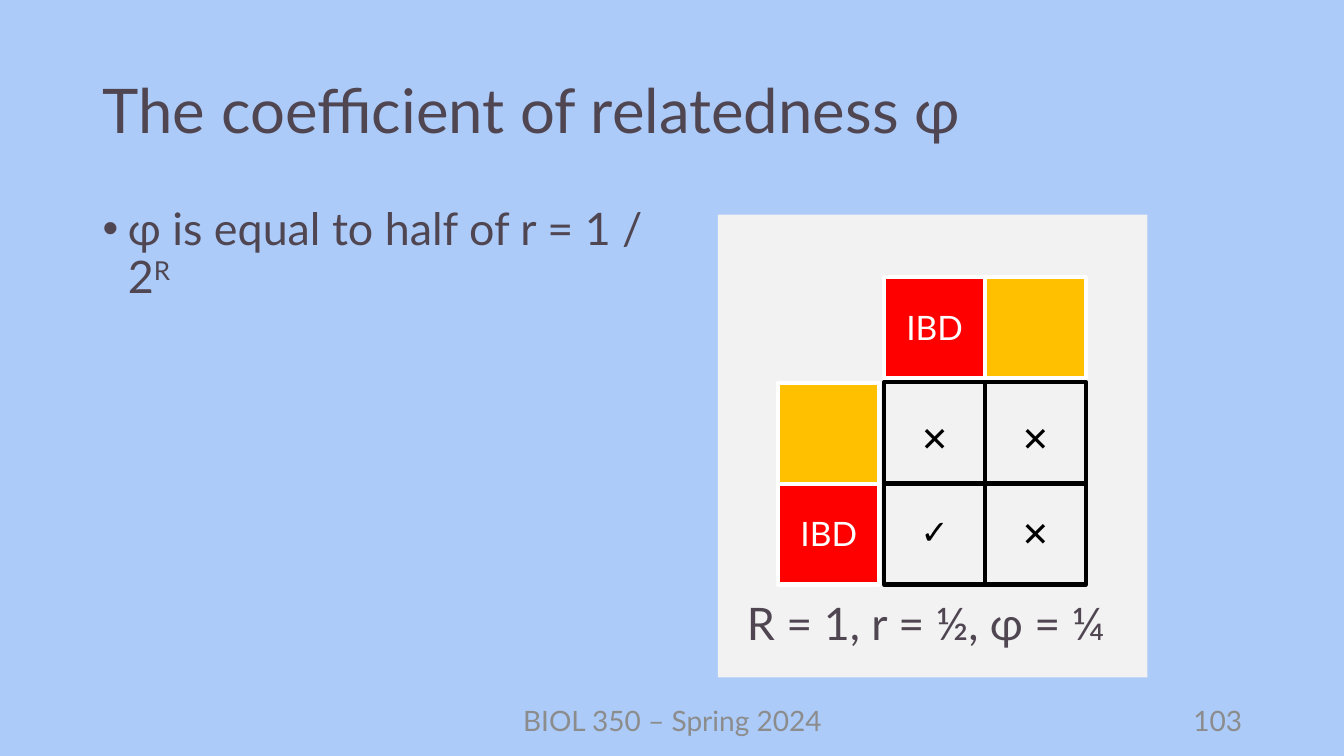
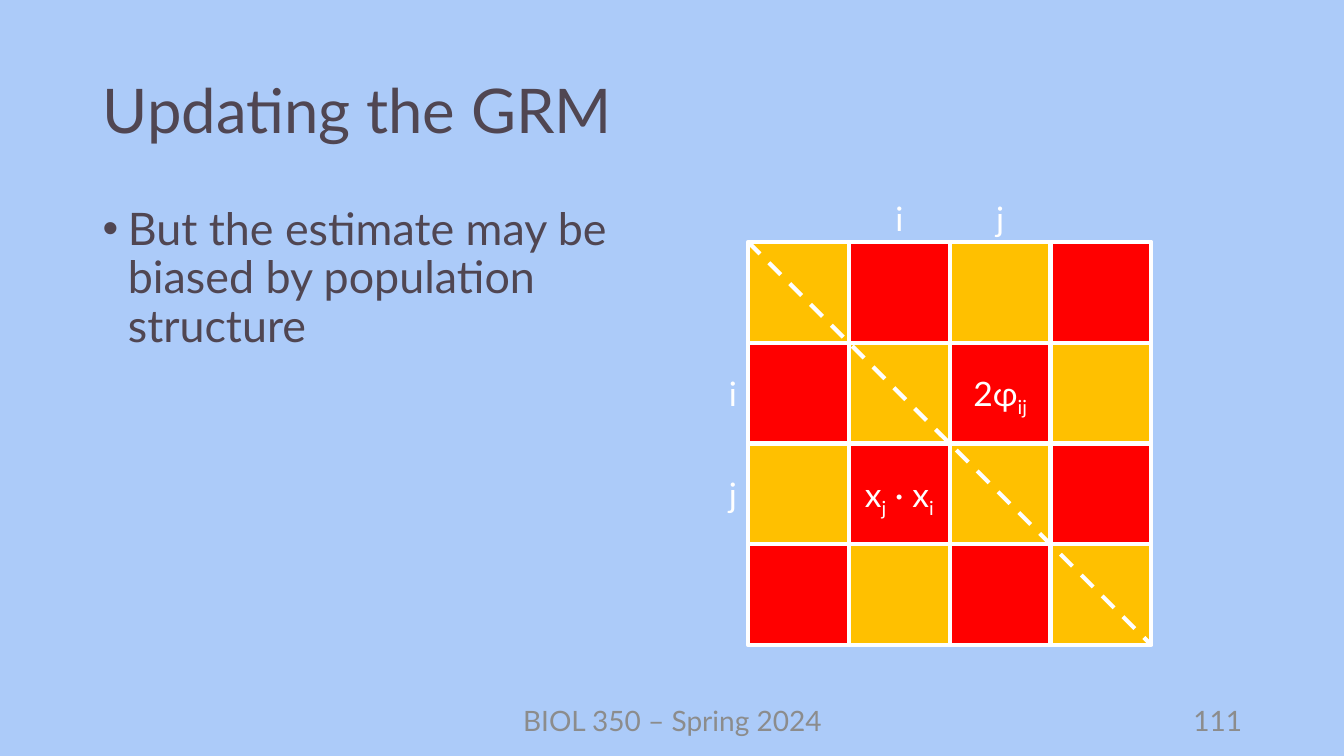
"""Build two genetics lecture slides on relatedness and the GRM."""
from lxml import etree
from pptx import Presentation
from pptx.dml.color import RGBColor
from pptx.enum import dml, shapes, text
from pptx.oxml.ns import qn
from pptx.util import Inches, Pt

SKY = RGBColor(0xAC, 0xCB, 0xF9)
PLUM = RGBColor(0x50, 0x46, 0x52)
GREY = RGBColor(0x8C, 0x8C, 0x8C)
PANEL = RGBColor(0xF2, 0xF2, 0xF2)
RED = RGBColor(0xFF, 0x00, 0x00)
AMBER = RGBColor(0xFF, 0xC0, 0x00)
WHITE = RGBColor(0xFF, 0xFF, 0xFF)
BLACK = RGBColor(0x00, 0x00, 0x00)

FONT = "Lato"
LEFT, CENTER, RIGHT = text.PP_ALIGN.LEFT, text.PP_ALIGN.CENTER, text.PP_ALIGN.RIGHT
TOP, MIDDLE = text.MSO_ANCHOR.TOP, text.MSO_ANCHOR.MIDDLE
SUPER, SUB = 30000, -25000

TITLE = dict(size=44, color=PLUM, anchor=MIDDLE, spacing=0.9)
BODY = dict(size=32, color=PLUM, spacing=0.9)
FOOTER = dict(size=20, color=GREY, anchor=MIDDLE)
FOOTER_TEXT = "BIOL 350 – Spring 2024"

CELL = 1
LABEL_HEIGHT = 0.5
LABEL_DROP = 0.25

RELATEDNESS = dict(
    title="The coefficient of relatedness φ",
    body=[("φ is equal to half of r = 1 / 2", 0), ("R", SUPER)],
    number="103",
)
RESULT = [("R = 1, r = ½, φ = ¼", 0)]
PUNNETT_CELLS = [
    (9.77, 2.75, AMBER, "", 0),
    (8.77, 2.75, RED, "IBD", 0.25),
    (7.72, 3.8, AMBER, "", 0),
    (7.72, 4.8, RED, "IBD", 0.24),
    (8.77, 3.79, None, "✕", 0.31),
    (9.77, 3.79, None, "✕", 0.31),
    (8.77, 4.8, None, "✓", 0.22),
    (9.77, 4.8, None, "✕", 0.24),
]

UPDATING = dict(
    title="Updating the GRM",
    body=[("But the estimate may be biased by population structure", 0)],
    number="111",
)
GRM_LEFT, GRM_TOP, GRM_SIZE = 7.42, 2.4, 4
GRM_ENTRIES = [
    (1, 2, [("2φ", 0), ("ij", SUB)]),
    (2, 1, [("x", 0), ("j", SUB), (" · x", 0), ("i", SUB)]),
]
GRM_INDICES = {1: "i", 2: "j"}


def add_text(page, spans, left, top, width, height, size=24, color=WHITE,
             align=LEFT, anchor=TOP, spacing=None, bullet=False, grow=False):
    box = page.shapes.add_textbox(Inches(left), Inches(top), Inches(width), Inches(height))
    frame = box.text_frame
    fit = text.MSO_AUTO_SIZE.SHAPE_TO_FIT_TEXT if grow else text.MSO_AUTO_SIZE.NONE
    for name, value in dict(word_wrap=True, auto_size=fit, vertical_anchor=anchor).items():
        setattr(frame, name, value)
    para = frame.paragraphs[0]
    para.alignment = align
    if spacing:
        para.line_spacing = spacing
    if bullet:
        props = para._p.get_or_add_pPr()
        props.set("marL", str(Inches(0.25)))
        props.set("indent", str(-Inches(0.25)))
        etree.SubElement(props, qn("a:buFont")).set("typeface", "Arial")
        etree.SubElement(props, qn("a:buChar")).set("char", "•")
    for words, baseline in spans:
        span = para.add_run()
        span.text = words
        for name, value in dict(name=FONT, size=Pt(size)).items():
            setattr(span.font, name, value)
        span.font.color.rgb = color
        if baseline:
            span._r.get_or_add_rPr().set("baseline", str(baseline))


def add_rectangle(page, left, top, width, height, fill, line=None):
    shape = page.shapes.add_shape(shapes.MSO_SHAPE.RECTANGLE, Inches(left), Inches(top),
                                  Inches(width), Inches(height))
    shape.shadow.inherit = False
    if fill is None:
        shape.fill.background()
    else:
        shape.fill.solid()
        shape.fill.fore_color.rgb = fill
    if line is None:
        shape.line.fill.background()
    else:
        shape.line.color.rgb = line
        shape.line.width = Pt(3)


def add_label(page, spans, center, top, width=CELL, color=WHITE):
    add_text(page, spans, center - width / 2, top, width, LABEL_HEIGHT,
             color=color, align=CENTER, grow=True)


def add_page(deck, title, body, number):
    page = deck.slides.add_slide(deck.slide_layouts[6])
    page.background.fill.solid()
    page.background.fill.fore_color.rgb = SKY
    add_text(page, [(title, 0)], 0.92, 0.4, 11.5, 1.45, **TITLE)
    add_text(page, body, 0.92, 2, 5.67, 4.76, bullet=True, **BODY)
    add_text(page, [(FOOTER_TEXT, 0)], 4.42, 6.95, 4.5, 0.4, align=CENTER, **FOOTER)
    add_text(page, [(number, 0)], 9.42, 6.95, 3, 0.4, align=RIGHT, **FOOTER)
    return page


def add_punnett_square(page):
    add_rectangle(page, 7.12, 2.13, 4.26, 4.59, PANEL)
    add_text(page, RESULT, 6.35, 5.92, 5.67, 0.81, align=CENTER, **BODY)
    for left, top, fill, mark, drop in PUNNETT_CELLS:
        add_rectangle(page, left, top, CELL, CELL, fill, WHITE if fill else BLACK)
        if mark:
            add_label(page, [(mark, 0)], left + CELL / 2, top + drop,
                      color=WHITE if fill else BLACK)


def add_grm(page):
    for row in range(GRM_SIZE):
        for column in range(GRM_SIZE):
            add_rectangle(page, GRM_LEFT + column * CELL, GRM_TOP + row * CELL, CELL, CELL,
                          RED if (row + column) % 2 else AMBER, WHITE)
    for row, column, spans in GRM_ENTRIES:
        add_label(page, spans, GRM_LEFT + (column + 0.5) * CELL,
                  GRM_TOP + row * CELL + LABEL_DROP, width=1.3)
    for index, letter in GRM_INDICES.items():
        add_label(page, [(letter, 0)], GRM_LEFT + (index + 0.5) * CELL, GRM_TOP - 0.49)
        add_label(page, [(letter, 0)], GRM_LEFT - 0.15, GRM_TOP + index * CELL + LABEL_DROP)
    side = GRM_SIZE * CELL
    diagonal = page.shapes.add_connector(
        shapes.MSO_CONNECTOR.STRAIGHT, Inches(GRM_LEFT), Inches(GRM_TOP),
        Inches(GRM_LEFT + side), Inches(GRM_TOP + side))
    diagonal.line.color.rgb = WHITE
    diagonal.line.width = Pt(3)
    diagonal.line.dash_style = dml.MSO_LINE.DASH
    etree.SubElement(diagonal._element.spPr, qn("a:effectLst"))


def main():
    deck = Presentation()
    deck.slide_width, deck.slide_height = Inches(13.33), Inches(7.5)
    add_punnett_square(add_page(deck, **RELATEDNESS))
    add_grm(add_page(deck, **UPDATING))
    deck.save("out.pptx")


if __name__ == "__main__":
    main()
